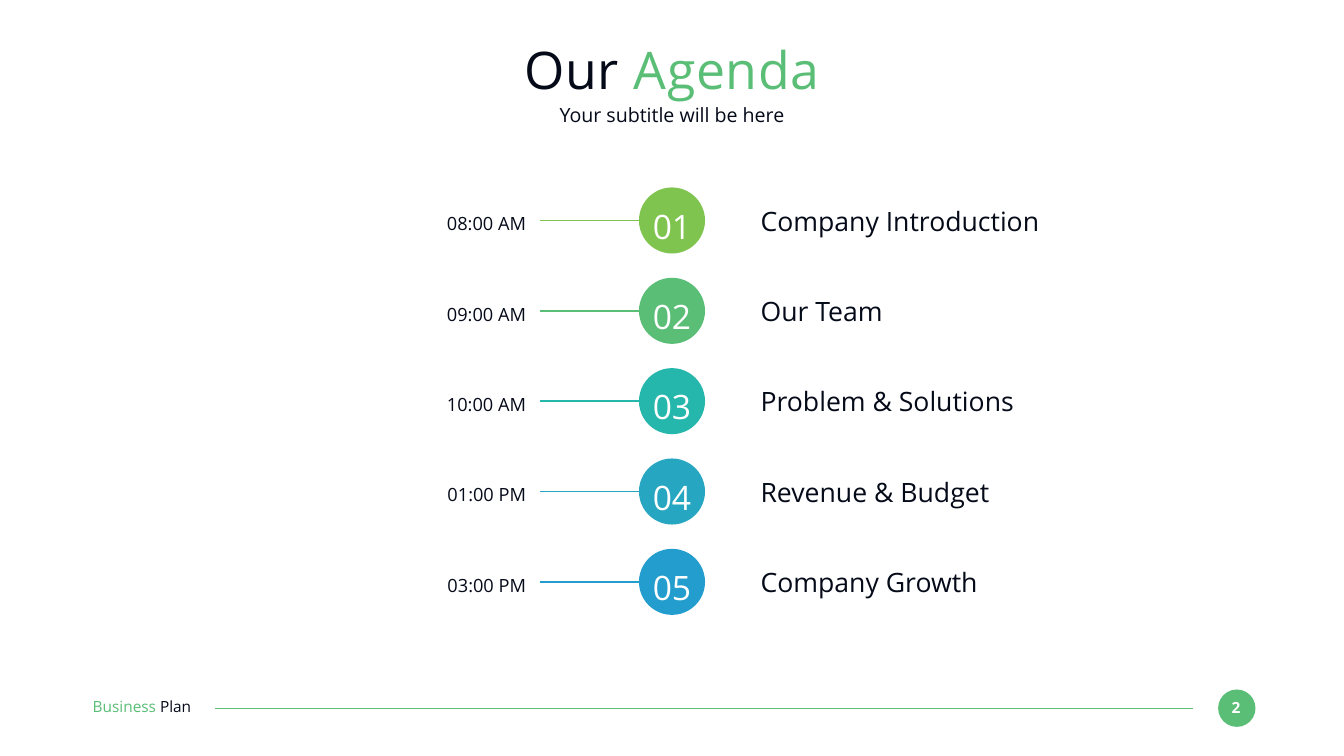
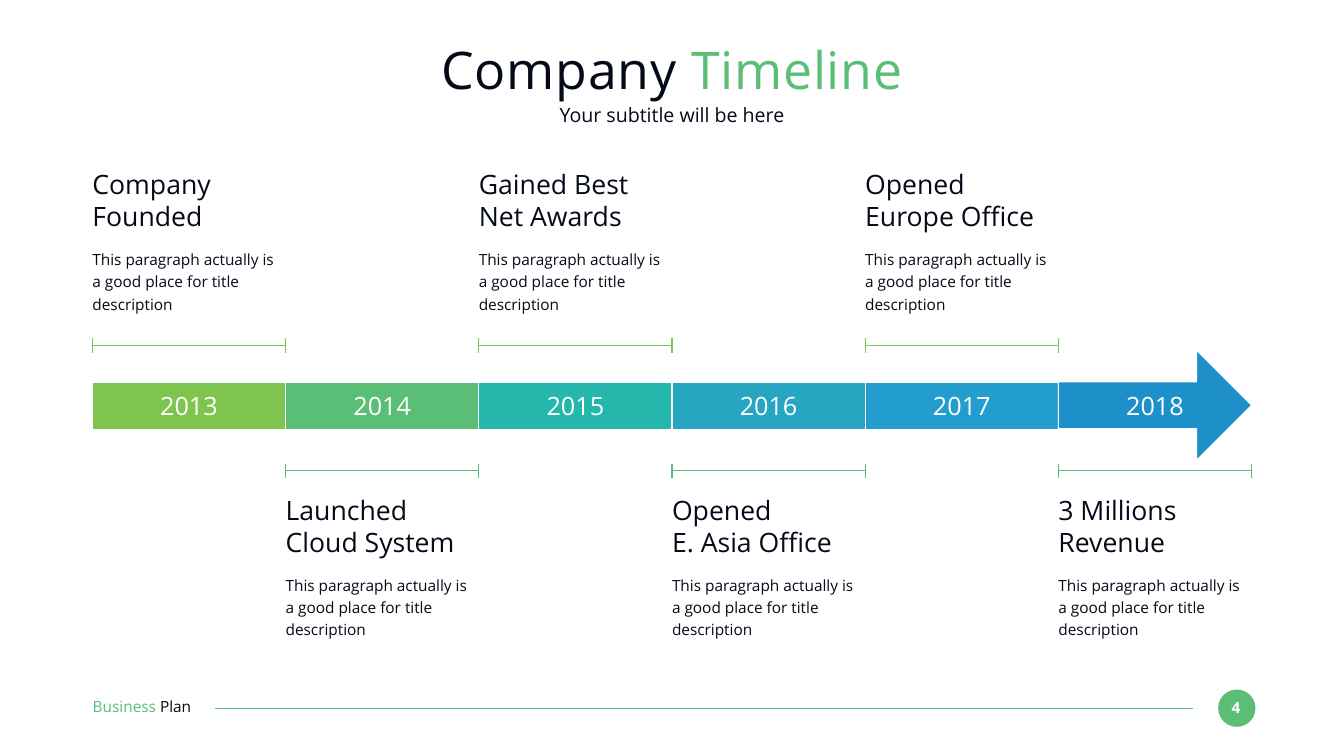
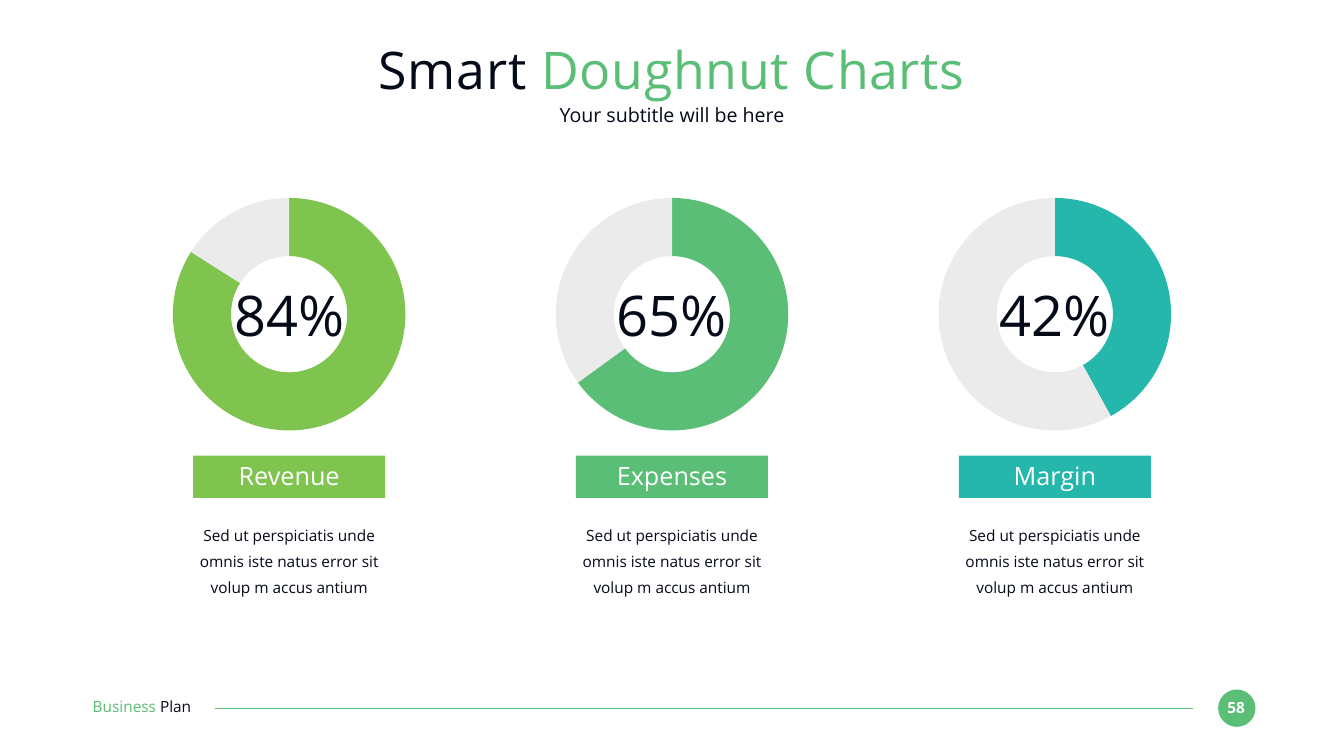
"""Build the agenda, timeline and doughnut chart slides of a business plan."""
from dataclasses import dataclass, replace
from typing import NamedTuple

import lxml.etree
import pptx
import pptx.chart.data
import pptx.dml.color
import pptx.enum.chart
import pptx.enum.shapes
import pptx.enum.text
import pptx.oxml
import pptx.oxml.ns
import pptx.util

Pt = pptx.util.Pt
Shapes = pptx.enum.shapes.MSO_SHAPE
Align = pptx.enum.text.PP_ALIGN
Anchor = pptx.enum.text.MSO_ANCHOR

INK, WHITE, PALE = "050A19", "FFFFFF", "EBEBEB"
LIME, GREEN, TEAL, CYAN, SKY, BLUE = PALETTE = (
    "7FC44F", "5ABE76", "25B7AC", "26A6C1", "239DCE", "1D90C9")
FONT = "Open Sans"
SLIDE_WIDTH, SLIDE_HEIGHT = 1920, 1080
CENTER = SLIDE_WIDTH / 2
MARGIN = 132
CONTENT_WIDTH = SLIDE_WIDTH - 2 * MARGIN


class Box(NamedTuple):
    left: float
    top: float
    width: float
    height: float

    def lengths(self) -> tuple:
        return tuple(Pt(value) for value in self)


class Run(NamedTuple):
    text: str
    color: str


@dataclass(frozen=True)
class TextStyle:
    size: float
    color: str = INK
    align: Align = Align.LEFT
    line_spacing: float = 1
    space_after: float = 0
    bold: bool = False
    tracking: float = 0
    anchor: Anchor = Anchor.TOP
    grow: bool = True


TITLE = TextStyle(74, align=Align.CENTER, tracking=1, anchor=Anchor.MIDDLE, grow=False)
SUBTITLE = TextStyle(28, align=Align.CENTER, anchor=Anchor.MIDDLE, grow=False)
FOOTER = TextStyle(22)
PAGE_NUMBER = TextStyle(22, WHITE, Align.CENTER, bold=True)
HEADING = TextStyle(38)
BODY = TextStyle(22, line_spacing=1.2)
TIME = TextStyle(26, align=Align.RIGHT, line_spacing=1.2)
AGENDA_NUMBER = TextStyle(48, WHITE, Align.CENTER, line_spacing=1.2)
LABEL = TextStyle(36, WHITE, Align.CENTER)
DESCRIPTION = replace(BODY, align=Align.CENTER, line_spacing=1.4, space_after=36)
PERCENT = TextStyle(80, align=Align.CENTER)


class AgendaItem(NamedTuple):
    time: str
    topic: str
    color: str


class Milestone(NamedTuple):
    year: str
    heading: str
    color: str


class Measure(NamedTuple):
    name: str
    percent: int
    color: str


class MilestoneRow(NamedTuple):
    bracket_y: float
    heading_top: float
    color: str


AGENDA = (
    AgendaItem("08:00 AM", "Company Introduction", LIME),
    AgendaItem("09:00 AM", "Our Team", GREEN),
    AgendaItem("10:00 AM", "Problem & Solutions", TEAL),
    AgendaItem("01:00 PM", "Revenue & Budget", CYAN),
    AgendaItem("03:00 PM", "Company Growth", SKY),
)
MILESTONES = (
    Milestone("2013", "Company Founded", LIME),
    Milestone("2014", "Launched Cloud System", GREEN),
    Milestone("2015", "Gained Best\nNet Awards", TEAL),
    Milestone("2016", "Opened\nE. Asia Office", CYAN),
    Milestone("2017", "Opened\nEurope Office", SKY),
    Milestone("2018", "3 Millions\nRevenue", BLUE),
)
MILESTONE_ROWS = (MilestoneRow(493.7, 240.5, LIME), MilestoneRow(672.7, 705.8, GREEN))
MEASURES = (
    Measure("Revenue", 84, LIME),
    Measure("Expenses", 65, GREEN),
    Measure("Margin", 42, TEAL),
)
MILESTONE_TEXT = "This paragraph actually is a good place for title description"
MEASURE_TEXT = "Sed ut perspiciatis unde omnis iste natus error sit volup m accus antium"


def rgb(color: str) -> pptx.dml.color.RGBColor:
    return pptx.dml.color.RGBColor.from_string(color)


def centered(center: float, top: float, width: float, height: float) -> Box:
    return Box(center - width / 2, top, width, height)


def add_runs(slide, box: Box, paragraphs: list, style: TextStyle) -> None:
    frame = slide.shapes.add_textbox(*box.lengths()).text_frame
    frame.word_wrap = True
    frame.margin_left = frame.margin_top = frame.margin_right = frame.margin_bottom = 0
    frame.vertical_anchor = style.anchor
    sizes = pptx.enum.text.MSO_AUTO_SIZE
    frame.auto_size = sizes.SHAPE_TO_FIT_TEXT if style.grow else sizes.NONE
    for index, runs in enumerate(paragraphs):
        paragraph = frame.add_paragraph() if index else frame.paragraphs[0]
        paragraph.alignment = style.align
        paragraph.line_spacing = style.line_spacing
        paragraph.space_after = Pt(style.space_after)
        for text, color in runs:
            run = paragraph.add_run()
            run.text = text
            run.font.name = FONT
            run.font.size = Pt(style.size)
            run.font.bold = style.bold
            run.font.color.rgb = rgb(color)
            if style.tracking:
                run._r.get_or_add_rPr().set("spc", str(round(style.tracking * 100)))


def add_text(slide, box: Box, text: str, style: TextStyle) -> None:
    add_runs(slide, box, [[Run(line, style.color)] for line in text.split("\n")], style)


def add_filled(slide, kind: Shapes, box: Box, color: str, outline: str = ""):
    shape = slide.shapes.add_shape(kind, *box.lengths())
    shape.shadow.inherit = False
    shape.fill.solid()
    shape.fill.fore_color.rgb = rgb(color)
    if outline:
        shape.line.color.rgb = rgb(outline)
        shape.line.width = Pt(1.5)
    else:
        shape.line.fill.background()
    return shape


def add_line(shapes, start: tuple, end: tuple, color: str, width: float = 1.5) -> None:
    ends = (Pt(value) for value in (*start, *end))
    connector = shapes.add_connector(pptx.enum.shapes.MSO_CONNECTOR.STRAIGHT, *ends)
    connector.line.color.rgb = rgb(color)
    connector.line.width = Pt(width)
    properties = connector._element.spPr
    lxml.etree.SubElement(properties, pptx.oxml.ns.qn("a:effectLst"))


def add_bracket(slide, left: float, right: float, y: float, color: str) -> None:
    shapes = slide.shapes.add_group_shape().shapes
    add_line(shapes, (left, y), (right, y), color)
    for x in (left, right):
        add_line(shapes, (x, y - 10.4), (x, y + 10.4), color)


def add_base_slide(presentation, number: int, title: str, accent: str):
    slide = presentation.slides.add_slide(presentation.slide_layouts[6])
    slide.background.fill.solid()
    slide.background.fill.fore_color.rgb = rgb(WHITE)
    add_filled(slide, Shapes.OVAL, Box(1740.2, 985, 53.4, 53.4), GREEN)
    add_text(slide, Box(1744.6, 997.2, 42.5, 26.6), str(number), PAGE_NUMBER)
    add_line(slide.shapes, (1704, 1011.6), (307.4, 1011.6), GREEN)
    add_runs(slide, Box(132.5, 996.5, 186.5, 26.6),
             [[Run("Business ", GREEN), Run("Plan", INK)]], FOOTER)
    add_runs(slide, Box(MARGIN, 52.6, CONTENT_WIDTH, 91.4),
             [[Run(title + " ", INK), Run(accent, GREEN)]], TITLE)
    add_text(slide, Box(MARGIN, 146, CONTENT_WIDTH, 35.3),
             "Your subtitle will be here", SUBTITLE)
    return slide


def build_agenda(presentation) -> None:
    slide = add_base_slide(presentation, 2, "Our", "Agenda")
    diameter = 94.4
    for index, item in enumerate(AGENDA):
        top = 267.8 + 129.06 * index
        middle = top + diameter / 2
        circle = centered(CENTER, top, diameter, diameter)
        add_filled(slide, Shapes.OVAL, circle, item.color)
        add_line(slide.shapes, (771, middle), (circle.left, middle), item.color, 2.25)
        add_text(slide, centered(CENTER, top + 14.6, 74.2, 69.8),
                 f"{index + 1:02}", AGENDA_NUMBER)
        add_text(slide, Box(496.8, top + 29.6, 254.9, 38.2), item.time, TIME)
        add_text(slide, Box(1086.5, top + 24.2, 452.9, 46), item.topic, HEADING)


def build_timeline(presentation) -> None:
    slide = add_base_slide(presentation, 4, "Company", "Timeline")
    step = CONTENT_WIDTH / len(MILESTONES)
    lefts = [MARGIN + step * index for index in range(len(MILESTONES))]
    for left, milestone in zip(lefts[:-1], MILESTONES):
        add_filled(slide, Shapes.RECTANGLE, Box(left, 545.8, step, 67.7),
                   milestone.color, WHITE)
    arrow = add_filled(slide, Shapes.RIGHT_ARROW, Box(lefts[-1], 500.4, step, 157),
                       MILESTONES[-1].color, WHITE)
    arrow.adjustments[0], arrow.adjustments[1] = 0.427, 0.5
    for left, milestone in zip(lefts, MILESTONES):
        add_text(slide, centered(left + step / 2, 557.3, 128.9, 44), milestone.year, LABEL)
    for index, (left, milestone) in enumerate(zip(lefts, MILESTONES)):
        row = MILESTONE_ROWS[index % 2]
        add_bracket(slide, left, left + step, row.bracket_y, row.color)
        add_text(slide, Box(left, row.heading_top, step, 92), milestone.heading, HEADING)
        add_text(slide, Box(left, row.heading_top + 112, step, 95.8), MILESTONE_TEXT, BODY)


def add_doughnut(slide, box: Box, measure: Measure) -> None:
    data = pptx.chart.data.CategoryChartData()
    data.categories = ["1", "2"]
    data.add_series("Series 1", (measure.percent, 100 - measure.percent))
    chart = slide.shapes.add_chart(
        pptx.enum.chart.XL_CHART_TYPE.DOUGHNUT, *box.lengths(), data).chart
    chart.has_legend = chart.has_title = False
    chart.font.name = "Calibri"
    chart.font.size = Pt(10)
    chart.font.color.rgb = rgb("999999")
    plot = chart.plots[0]
    plot.vary_by_categories = True
    for index, color in enumerate((measure.color, PALE)):
        point = plot.series[0].points[index].format
        point.fill.solid()
        point.fill.fore_color.rgb = rgb(color)
        point.line.fill.background()
    for hole in chart._chartSpace.xpath("//c:holeSize"):
        hole.set("val", "88")


def build_doughnuts(presentation) -> None:
    slide = add_base_slide(presentation, 58, "Smart", "Doughnut Charts")
    for index, measure in enumerate(MEASURES):
        center = CENTER + 546.9 * (index - 1)
        add_doughnut(slide, centered(center, 260.6, 352, 376.6), measure)
        add_filled(slide, Shapes.RECTANGLE, centered(center, 650.9, 274.3, 60.5),
                   measure.color)
        add_text(slide, centered(center, 657.4, 223.2, 44), measure.name, LABEL)
        add_text(slide, centered(center, 740.9, 310.3, 112.3), MEASURE_TEXT, DESCRIPTION)
        add_text(slide, centered(center, 400.3, 171.4, 97.2),
                 f"{measure.percent}%", PERCENT)


def main() -> None:
    presentation = pptx.Presentation()
    presentation.slide_width = Pt(SLIDE_WIDTH)
    presentation.slide_height = Pt(SLIDE_HEIGHT)
    build_agenda(presentation)
    build_timeline(presentation)
    build_doughnuts(presentation)
    presentation.save("out.pptx")


if __name__ == "__main__":
    main()
